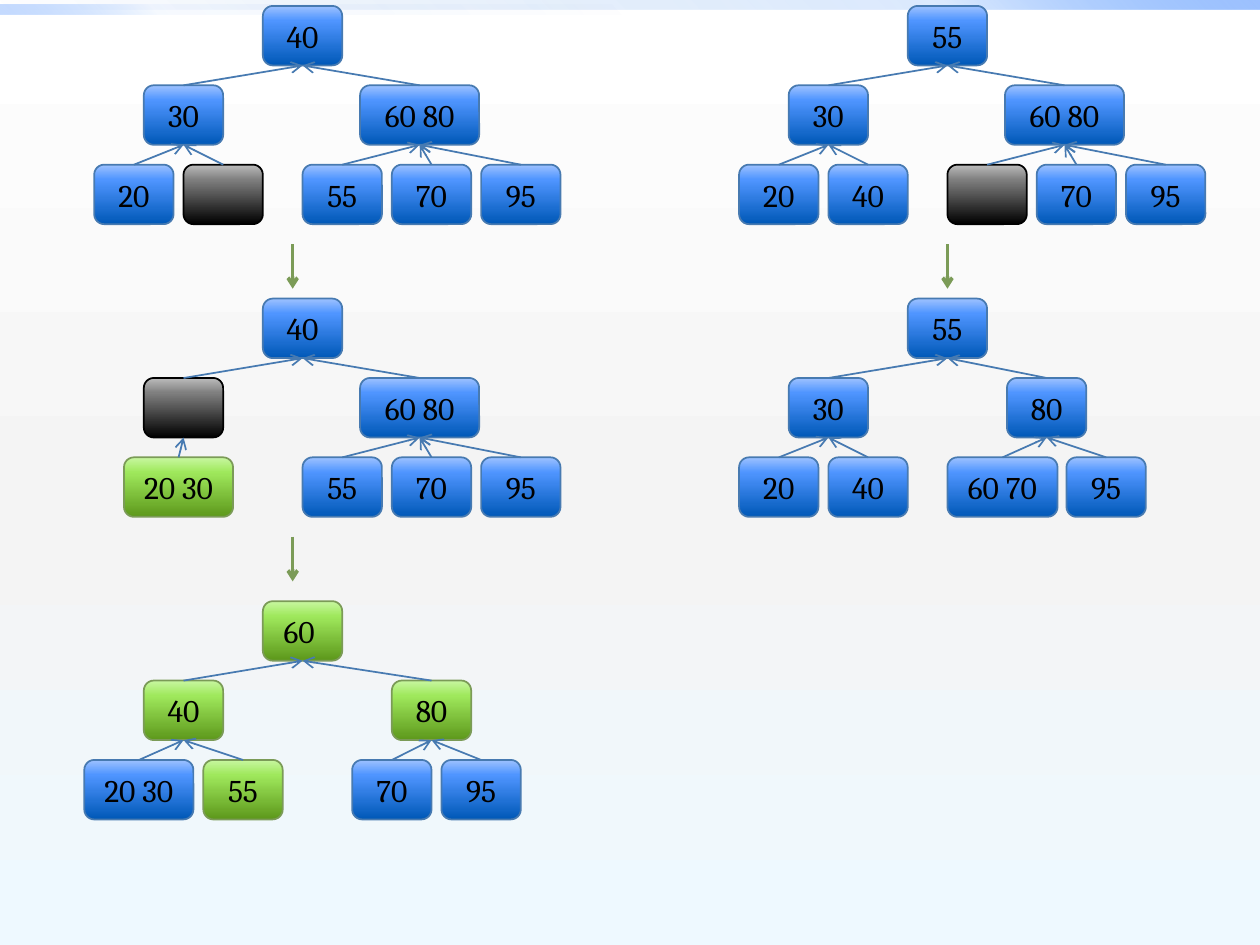
from pptx import Presentation
from pptx.dml.color import RGBColor
from pptx.enum.shapes import MSO_CONNECTOR, MSO_SHAPE
from pptx.enum.text import MSO_ANCHOR, PP_ALIGN
from pptx.oxml.ns import qn
from pptx.util import Inches, Pt
from lxml.etree import SubElement

# Gradient stops: position %, colour, opacity %
THEME = {
    "font": "Cambria", "size": Pt(18), "text": "000000",
    "blue": ([(0, "0058B7", 100), (75, "4F95FF", 100), (100, "9EC2FF", 100)], "477AB1"),
    "green": ([(0, "5D981B", 100), (75, "9FE85C", 100), (100, "C8F7A1", 100)], "7B9B57"),
    "black": ([(0, "000000", 100), (75, "7F7F7F", 100), (100, "BDBDBD", 100)], "000000"),
    "background": [(0, "FFFFFF", 100), (55, "F4F4F4", 100), (100, "EEF9FF", 100)],
    "top bar": [(0, "0058B7", 0), (75, "4F95FF", 20), (100, "9EC2FF", 100)],
    "left bar": [(0, "0058B7", 0), (75, "4F95FF", 5), (100, "9EC2FF", 60)],
}

prs = Presentation()
prs.slide_width, prs.slide_height = Inches(10), Inches(7.5)
s = prs.slides.add_slide(prs.slide_layouts[6])

# Grid: 127 square units across the slide
U = prs.slide_width / 127
NODE_W, NODE_H, LEVEL = 8, 6, 8


def set_gradient(owner, fill, stops, angle):
    fill.gradient()
    fill.gradient_angle = angle
    stop_list = next(owner.iter(qn("a:gsLst")))
    for old in list(stop_list):
        stop_list.remove(old)
    for pos, color, opacity in stops:
        gs = SubElement(stop_list, qn("a:gs"), pos=str(pos * 1000))
        clr = SubElement(gs, qn("a:srgbClr"), val=color)
        if opacity < 100:
            SubElement(clr, qn("a:alpha"), val=str(opacity * 1000))


def add_arrow(x1, y1, x2, y2, color, width):
    cx = s.shapes.add_connector(MSO_CONNECTOR.STRAIGHT, *(round(v * U) for v in (x1, y1, x2, y2)))
    cx.line.color.rgb = RGBColor.from_string(color)
    cx.line.width = Pt(width)
    SubElement(cx.line._get_or_add_ln(), qn("a:tailEnd"), type="arrow")
    SubElement(cx._element.spPr, qn("a:effectLst"))
    return cx


# Background and the two bars along the top edge
set_gradient(s._element, s.background.fill, THEME["background"], 270)
for name, top, width, angle in (("top bar", 0, 127, 45), ("left bar", 0.5, 63.5, 225)):
    sp = s.shapes.add_shape(MSO_SHAPE.RECTANGLE, 0, round(top * U), round(width * U), round(U))
    sp.shadow.inherit = False
    sp.line.fill.background()
    set_gradient(sp._element, sp.fill, THEME[name], angle)

# Nodes: level, left column, width, text, colour, index of the parent in its tree
LEFT_ROOT = (0, 26.5, NODE_W, "40", "blue", None)
RIGHT_HALF = [  # hangs below node 2
    (2, 30.5, NODE_W, "55", "blue", 2),
    (2, 39.5, NODE_W, "70", "blue", 2),
    (2, 48.5, NODE_W, "95", "blue", 2),
]
PAIR = (1, 36.3, 12, "60 80", "blue", 0)
SWAPPED = [
    (0, 26.5, NODE_W, "55", "blue", None),
    (1, 14.5, NODE_W, "30", "blue", 0),
]
SWAPPED_LEAVES = [
    (2, 9.5, NODE_W, "20", "blue", 1),
    (2, 18.5, NODE_W, "40", "blue", 1),
]

# Trees: left offset, top row, nodes
LEFT, RIGHT = 0, 65
TOP, MIDDLE, BOTTOM = 0.6, 30.1, 60.6
trees = [
    (LEFT, TOP, [LEFT_ROOT, (1, 14.5, NODE_W, "30", "blue", 0), PAIR,
                 (2, 9.5, NODE_W, "20", "blue", 1),
                 (2, 18.5, NODE_W, "", "black", 1)] + RIGHT_HALF),
    (LEFT, MIDDLE, [LEFT_ROOT, (1, 14.5, NODE_W, "", "black", 0), PAIR,
                    (2, 12.5, 11, "20 30", "green", 1)] + RIGHT_HALF),
    (LEFT, BOTTOM, [(0, 26.5, NODE_W, "60 ", "green", None),
                    (1, 14.5, NODE_W, "40", "green", 0),
                    (1, 39.5, NODE_W, "80", "green", 0),
                    (2, 8.5, 11, "20 30", "blue", 1),
                    (2, 20.5, NODE_W, "55", "green", 1),
                    (2, 35.5, NODE_W, "70", "blue", 2),
                    (2, 44.5, NODE_W, "95", "blue", 2)]),
    (RIGHT, TOP, SWAPPED + [PAIR] + SWAPPED_LEAVES
     + [(2, 30.5, NODE_W, "", "black", 2)] + RIGHT_HALF[1:]),
    (RIGHT, MIDDLE, SWAPPED + [(1, 36.5, NODE_W, "80", "blue", 0)] + SWAPPED_LEAVES
     + [(2, 30.5, 11.1, "60 70", "blue", 2),
        (2, 42.5, NODE_W, "95", "blue", 2)]),
]

for offset, top, nodes in trees:
    boxes = []
    for level, left, width, text, color, parent in nodes:
        x, y = offset + left, top + level * LEVEL
        sp = s.shapes.add_shape(MSO_SHAPE.ROUNDED_RECTANGLE,
                                *(round(v * U) for v in (x, y, width, NODE_H)))
        boxes.append(sp)
        stops, outline = THEME[color]
        sp.shadow.inherit = False
        set_gradient(sp._element, sp.fill, stops, 90)
        sp.line.color.rgb = RGBColor.from_string(outline)
        sp.line.width = Pt(1)
        if text:
            tf = sp.text_frame
            tf.vertical_anchor = MSO_ANCHOR.MIDDLE
            p = tf.paragraphs[0]
            p.text, p.alignment = text, PP_ALIGN.CENTER
            p.font.name, p.font.size = THEME["font"], THEME["size"]
            p.font.color.rgb = RGBColor.from_string(THEME["text"])
        # Edge from the child's top to the parent's bottom
        if parent is not None:
            edge = add_arrow(x, y, x, y - 2, THEME["blue"][1], 1)
            edge.begin_connect(sp, 0)
            edge.end_connect(boxes[parent], 2)

# Step arrows between successive trees
for x, top in ((29.5, TOP), (29.5, MIDDLE), (95.5, TOP)):
    add_arrow(x, top + 24, x, top + 28.5, THEME["green"][1], 2)

prs.save("out.pptx")
